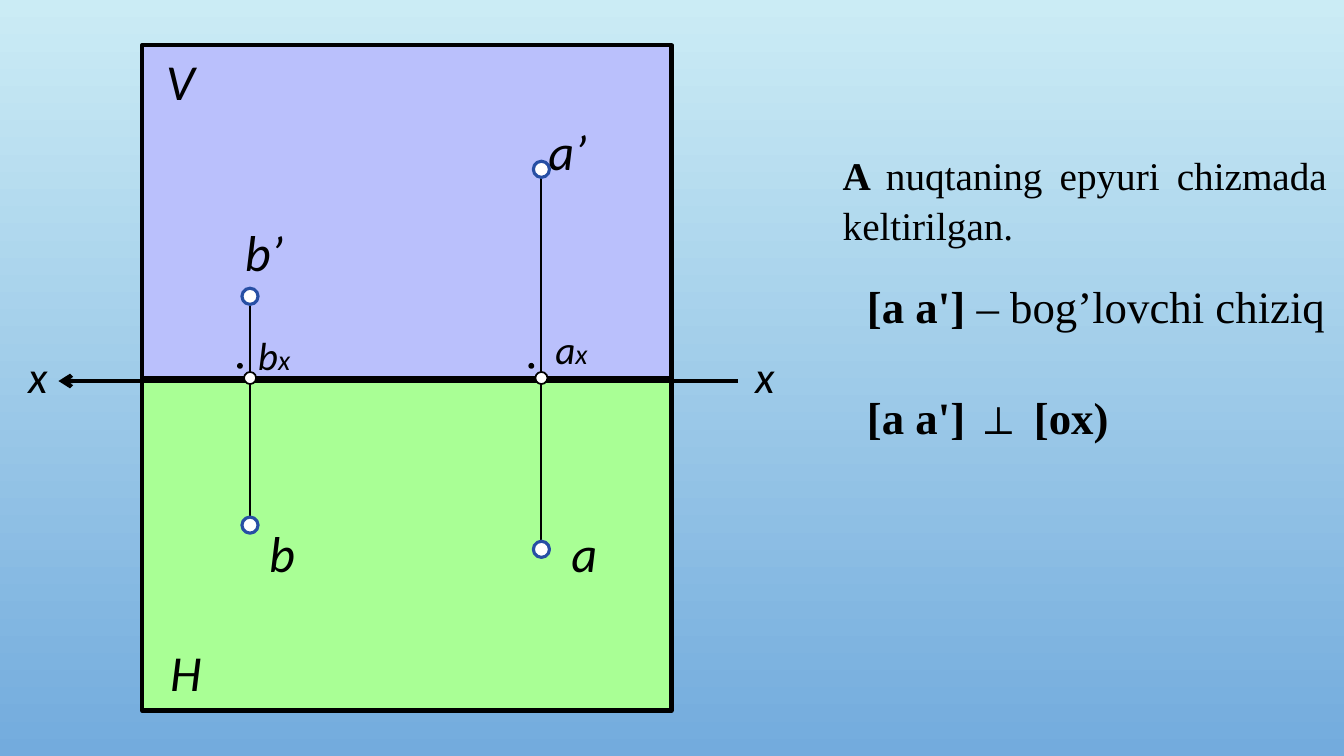
from dataclasses import dataclass

from lxml.etree import SubElement
from pptx import Presentation
from pptx.dml.color import RGBColor
from pptx.enum.shapes import MSO_CONNECTOR, MSO_SHAPE
from pptx.enum.text import PP_ALIGN
from pptx.oxml.ns import qn
from pptx.util import Emu, Pt


@dataclass(frozen=True)
class Theme:
    """Colours, fonts and type sizes of the slide."""
    sky_top: str = "CBECF5"
    sky_bottom: str = "73ABDD"
    vertical_plane: str = "BAC0FC"
    horizontal_plane: str = "A9FF95"
    ink: str = "000000"
    white: str = "FFFFFF"
    ring: str = "274FA4"
    label_font: str = "Calibri"
    body_font: str = "Times New Roman"
    symbol_font: str = "Arial"
    label_size: int = 36
    axis_size: int = 32
    foot_size: int = 28
    index_size: int = 20
    body_size: int = 28
    formula_size: int = 32


THEME = Theme()
PLANE_LEFT, PLANE_TOP, PLANE_WIDTH, PLANE_HEIGHT = 141, 45, 525, 330


def px(length):
    """Turn px into EMU at 100 px to the inch."""
    return Emu(length * 9144)


def colour(value):
    """Return the RGB colour of a hex value."""
    return RGBColor.from_string(value)


def paint_background(page):
    """Fill the page with the sky gradient, top to bottom."""
    fill = page.background.fill
    fill.gradient()
    fill.gradient_angle = 270
    for stop, position, value in zip(fill.gradient_stops, (0, 1), (THEME.sky_top, THEME.sky_bottom)):
        stop.position = position
        stop.color.rgb = colour(value)


def add_outlined(page, kind, left, top, width, height, fill, line, weight):
    """Add a filled preset shape with an outline."""
    shape = page.shapes.add_shape(kind, px(left), px(top), px(width), px(height))
    shape.shadow.inherit = False
    shape.fill.solid()
    shape.fill.fore_color.rgb = colour(fill)
    shape.line.color.rgb = colour(line)
    shape.line.width = Pt(weight)


def add_dot(page, left, top, size, fill, line, weight):
    """Add a round point mark."""
    add_outlined(page, MSO_SHAPE.OVAL, left, top, size, size, fill, line, weight)


def add_line(page, start, end, weight, arrow=False):
    """Add a straight line, with an arrowhead at its end on request."""
    line = page.shapes.add_connector(MSO_CONNECTOR.STRAIGHT, *map(px, start + end))
    line.line.color.rgb = colour(THEME.ink)
    line.line.width = Pt(weight)
    if arrow:
        SubElement(line.line._get_or_add_ln(), qn("a:tailEnd"), type="arrow")
    SubElement(line._element.spPr, qn("a:effectLst"))


def add_box(page, left, top, width, height):
    """Add a wrapping text box and return its text frame."""
    box = page.shapes.add_textbox(px(left), px(top), px(width), px(height))
    box.text_frame.word_wrap = True
    return box.text_frame


def add_span(para, text, size, font=THEME.body_font, bold=False, italic=False):
    """Add a formatted run of text to a paragraph."""
    span = para.add_run()
    span.text = text
    span.font.size = Pt(size)
    span.font.name = font
    span.font.bold = bold
    span.font.italic = italic
    span.font.color.rgb = colour(THEME.ink)


def add_label(page, left, top, text, size=THEME.label_size, index=""):
    """Add an italic label with an optional smaller index."""
    para = add_box(page, left, top, 77, 71).paragraphs[0]
    add_span(para, text, size, font=THEME.label_font, italic=True)
    if index:
        add_span(para, index, THEME.index_size, font=THEME.label_font, italic=True)


def add_planes(page):
    """Draw the planes V and H, one above the other."""
    for row, fill in enumerate((THEME.vertical_plane, THEME.horizontal_plane)):
        add_outlined(page, MSO_SHAPE.RECTANGLE, PLANE_LEFT, PLANE_TOP + row * PLANE_HEIGHT,
                     PLANE_WIDTH, PLANE_HEIGHT, fill, THEME.ink, 3)
    add_label(page, 155, 45, "V")
    add_label(page, 159, 631, "H")


def add_axis(page):
    """Draw the x axis with a label at each end."""
    add_line(page, (732, 378), (58, 378), 3, arrow=True)
    for left in (18, 739):
        add_label(page, left, 341, "x", size=THEME.axis_size)


def add_projection(page, centre, top, bottom):
    """Draw a projection line with its end points, foot and right-angle dot."""
    add_line(page, (centre, bottom), (centre, top), 1.5)
    for middle in (top, bottom):
        add_dot(page, centre - 8, middle - 8, 16, THEME.white, THEME.ring, 2.25)
    add_dot(page, centre - 6, 369, 12, THEME.white, THEME.ink, 1.25)
    add_dot(page, centre - 12, 361, 4, THEME.ink, THEME.ink, 1.25)


def add_explanation(page):
    """Write the sentence and the two formulas on the right."""
    para = add_box(page, 826, 143, 500, 104).paragraphs[0]
    para.alignment = PP_ALIGN.JUSTIFY
    para.line_spacing = 1.05
    add_span(para, "A ", THEME.body_size, bold=True)
    add_span(para, "nuqtaning epyuri chizmada keltirilgan.", THEME.body_size)

    frame = add_box(page, 850, 274, 483, 171)
    link, perpendicular = frame.paragraphs[0], frame.add_paragraph()
    for para in (link, perpendicular):
        para.line_spacing = Pt(37)
        add_span(para, "[a a'] ", THEME.formula_size, bold=True)
    perpendicular.space_before = Pt(42)
    add_span(link, "– bog’lovchi chiziq", THEME.formula_size)
    add_span(perpendicular, "⊥ ", THEME.formula_size, font=THEME.symbol_font)
    add_span(perpendicular, "[ox)", THEME.formula_size, bold=True)


def main():
    """Build the slide and save it."""
    deck = Presentation()
    deck.slide_width, deck.slide_height = px(1333), px(750)
    page = deck.slides.add_slide(deck.slide_layouts[6])
    paint_background(page)
    add_planes(page)
    add_axis(page)
    add_projection(page, 537, 168, 545)
    add_projection(page, 248, 294, 521)
    for left, top, text in ((534, 114, "a’"), (557, 513, "a"), (233, 214, "b’"), (257, 513, "b")):
        add_label(page, left, top, text)
    for left, top, text in ((541, 318, "a"), (246, 324, "b")):
        add_label(page, left, top, text, size=THEME.foot_size, index="x")
    add_explanation(page)
    deck.save("out.pptx")


if __name__ == "__main__":
    main()
